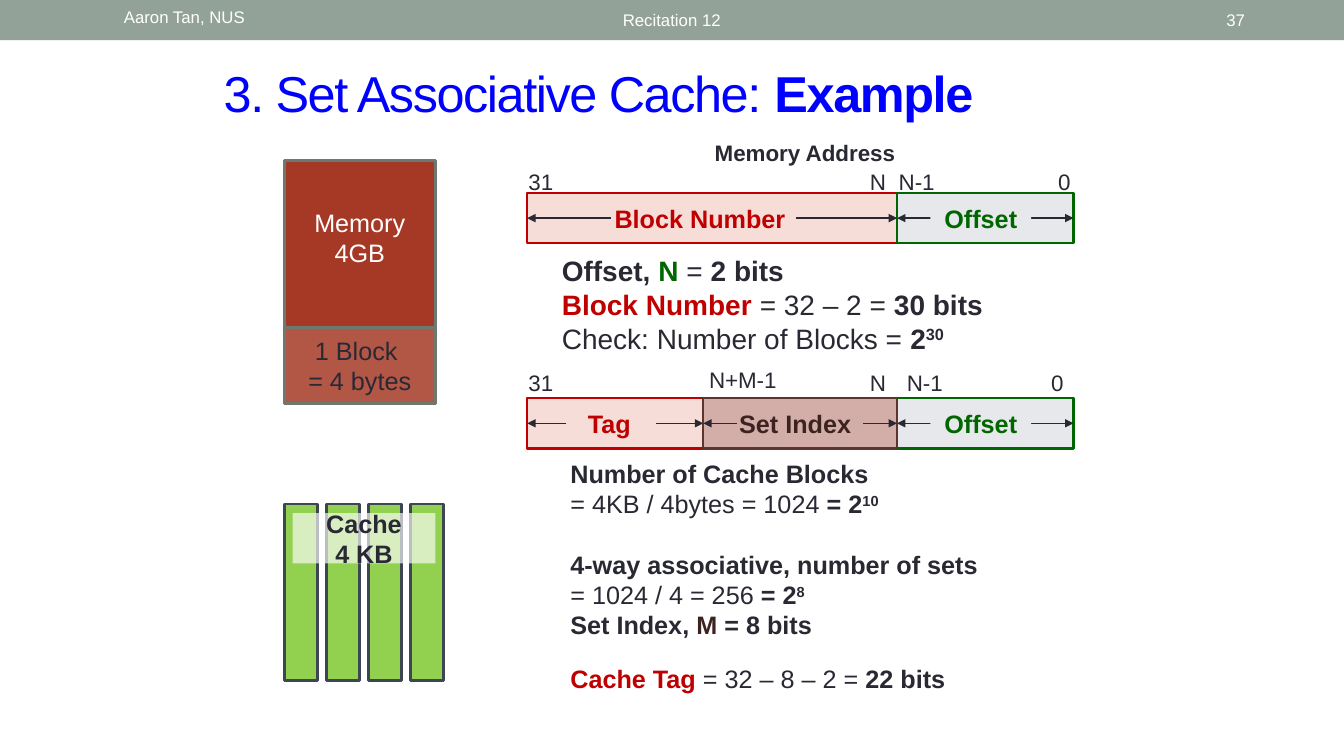
from lxml import etree
from pptx import Presentation
from pptx.dml.color import RGBColor
from pptx.enum.shapes import MSO_CONNECTOR, MSO_SHAPE
from pptx.enum.text import MSO_ANCHOR, PP_ALIGN
from pptx.oxml.ns import qn
from pptx.util import Pt

LEFT, CENTER, RIGHT = PP_ALIGN.LEFT, PP_ALIGN.CENTER, PP_ALIGN.RIGHT
TOP, MIDDLE = MSO_ANCHOR.TOP, MSO_ANCHOR.MIDDLE
RECTANGLE = MSO_SHAPE.RECTANGLE
STRAIGHT = MSO_CONNECTOR.STRAIGHT
FONT = "Arial"
INK, WHITE, BLUE = "292934", "FFFFFF", "0000FF"
RED, GREEN, BROWN = "C00000", "006600", "3C231F"
BOLD = {"bold": True}
SUPER = {"bold": True, "raised": 30000}


def color(hex_value):
    return RGBColor.from_string(hex_value)


def write_text(frame, paragraphs, size=18, ink=INK, bold=False, align=LEFT,
               anchor=TOP, gaps=None, spacing=None, wrap=True):
    frame.word_wrap = wrap
    frame.vertical_anchor = anchor
    for index, runs in enumerate(paragraphs):
        paragraph = frame.paragraphs[0] if index == 0 else frame.add_paragraph()
        paragraph.alignment = align
        if gaps and index in gaps:
            paragraph.space_before = Pt(gaps[index])
        for text, style in [(runs, {})] if isinstance(runs, str) else runs:
            run = paragraph.add_run()
            run.text = text
            run.font.name = FONT
            run.font.size = Pt(size)
            run.font.bold = style.get("bold", bold)
            run.font.color.rgb = color(style.get("ink", ink))
            if "raised" in style:
                run.font._element.set("baseline", str(style["raised"]))
            if spacing:
                run.font._element.set("spc", str(spacing))


class SlideBuilder:
    def __init__(self, presentation):
        self.slide = presentation.slides.add_slide(presentation.slide_layouts[5])

    def title(self, left, top, width, height, runs):
        shape = self.slide.shapes.title
        shape.left, shape.top = Pt(left), Pt(top)
        shape.width, shape.height = Pt(width), Pt(height)
        write_text(shape.text_frame, [runs], size=36, ink=BLUE, anchor=MIDDLE,
                   spacing=-100)

    def box(self, left, top, width, height, fill, line=None, weight=2.08, alpha=None):
        shape = self.slide.shapes.add_shape(
            RECTANGLE, Pt(left), Pt(top), Pt(width), Pt(height))
        shape.shadow.inherit = False
        shape.fill.solid()
        shape.fill.fore_color.rgb = color(fill)
        if alpha:
            target = shape.fill._xPr.find(".//" + qn("a:srgbClr"))
            etree.SubElement(target, qn("a:alpha")).set("val", str(alpha * 1000))
        if line:
            shape.line.color.rgb = color(line)
            shape.line.width = Pt(weight)
        else:
            shape.line.fill.background()
        return shape

    def text(self, left, top, width, height, paragraphs, **style):
        shape = self.slide.shapes.add_textbox(Pt(left), Pt(top), Pt(width), Pt(height))
        write_text(shape.text_frame, paragraphs, **style)

    def arrow(self, start, end, y, both=False):
        connector = self.slide.shapes.add_connector(
            STRAIGHT, Pt(start), Pt(y), Pt(end), Pt(y))
        connector.line.color.rgb = color(INK)
        connector.line.width = Pt(1)
        line = connector.line._get_or_add_ln()
        for end_name in ("a:headEnd", "a:tailEnd") if both else ("a:tailEnd",):
            etree.SubElement(line, qn(end_name)).set("type", "triangle")
        etree.SubElement(connector._element.spPr, qn("a:effectLst"))

    def field(self, left, right, top, fill, line, label, ink, label_center, reach):
        self.box(left, top, right - left, 36, fill, line, 1.5)
        y = top + 18
        if reach:
            self.arrow(left + reach[0], left, y)
            self.arrow(right - reach[1], right, y)
        else:
            self.arrow(right, left, y, both=True)
            self.box(label_center - 36, top + 4, 72, 28.8, fill)
        self.text(label_center - 70, top + 3.6, 140, 28.8, [label],
                  ink=ink, bold=True, align=CENTER)

    def tick(self, center, top, label):
        self.text(center - 35, top, 70, 26.6, [label], size=16, align=CENTER, wrap=False)


def main():
    presentation = Presentation()
    presentation.slide_width, presentation.slide_height = Pt(960), Pt(540)
    builder = SlideBuilder(presentation)

    builder.box(0, 0, 960, 28.8, "93A299")
    header = {"size": 12, "ink": WHITE}
    builder.text(81.4, 1.4, 228, 25.9, ["Aaron Tan, NUS"], **header)
    builder.text(217.4, 1.4, 525, 25.9, ["Recitation 12"], align=CENTER, anchor=MIDDLE, **header)
    builder.text(828, 1.4, 68.4, 25.9, ["37"], align=RIGHT, anchor=MIDDLE, **header)
    builder.title(152.6, 41, 663, 50.4, [("3. Set Associative Cache: ", {}), ("Example", BOLD)])

    memory = builder.box(203, 114.5, 108, 174, "A53926", "6D7871")
    memory.text_frame.margin_bottom = Pt(67)
    write_text(memory.text_frame, ["Memory", "4GB"], ink=WHITE, align=CENTER, anchor=MIDDLE)
    block = builder.box(203, 234, 108, 54, WHITE, "6D7871", alpha=15)
    write_text(block.text_frame, ["1 Block ", "= 4 bytes"], align=CENTER, anchor=MIDDLE)

    for way in range(4):
        builder.box(203 + 30 * way, 360, 24, 126, "92D050", "3E4652")
    cache = builder.box(209, 366.5, 102, 36, WHITE, alpha=65)
    write_text(cache.text_frame, ["Cache", "4 KB"], bold=True, align=CENTER, anchor=MIDDLE)

    builder.text(502.6, 95.8, 144.7, 26.6, ["Memory Address"],
                 size=16, bold=True, align=CENTER, wrap=False)
    ticks = [
        (116.6, [(386.3, "31"), (627.1, "N"), (654.8, "N-1"), (760.3, "0")]),
        (259.9, [(386.3, "31"), (627.1, "N"), (660.6, "N-1"), (755.3, "0")]),
        (257.8, [(530.6, "N+M-1")]),
    ]
    for top, labels in ticks:
        for center, label in labels:
            builder.tick(center, top, label)

    start, index_start, offset_start, end = 376.6, 502.4, 640.8, 766.8
    upper, lower = 137.8, 284.4
    builder.field(start, offset_start, upper, "F6DDD8", RED, "Block Number", RED, 500, (60, 72))
    builder.field(start, index_start, lower, "F6DDD8", RED, "Tag", RED, 435.2, (28, 34))
    for top in (upper, lower):
        builder.field(offset_start, end, top, "E6E8EC", GREEN, "Offset", GREEN, 700.6, None)
    builder.field(index_start, offset_start, lower, "D3AEA8", "5B352E", "Set Index", BROWN,
                  568, (24, 24))

    builder.text(394.2, 177.8, 354, 80, [
        [("Offset, ", BOLD), ("N", {"bold": True, "ink": GREEN}), (" = ", {}), ("2 bits", BOLD)],
        [("Block Number ", {"bold": True, "ink": RED}), ("= 32 – 2 = ", {}), ("30 bits", BOLD)],
        [("Check: Number of Blocks = ", {}), ("2", BOLD), ("30", SUPER)],
    ], size=20)
    builder.text(400.3, 324, 372, 174, [
        [("Number of Cache Blocks", BOLD)],
        [("= 4KB / 4bytes = 1024 ", {}), ("= 2", BOLD), ("10", SUPER)],
        [("4-way associative, number of sets", BOLD)],
        [("= 1024 / 4 = 256 ", {}), ("= 2", BOLD), ("8", SUPER)],
        [("Set Index, ", BOLD), ("M", {"bold": True, "ink": BROWN}), (" = 8 bits", BOLD)],
        [("Cache Tag ", {"bold": True, "ink": RED}), ("= 32 – 8 – 2 = ", {}), ("22 bits", BOLD)],
    ], gaps={2: 21.6, 5: 16.8})

    presentation.save("out.pptx")


if __name__ == "__main__":
    main()
